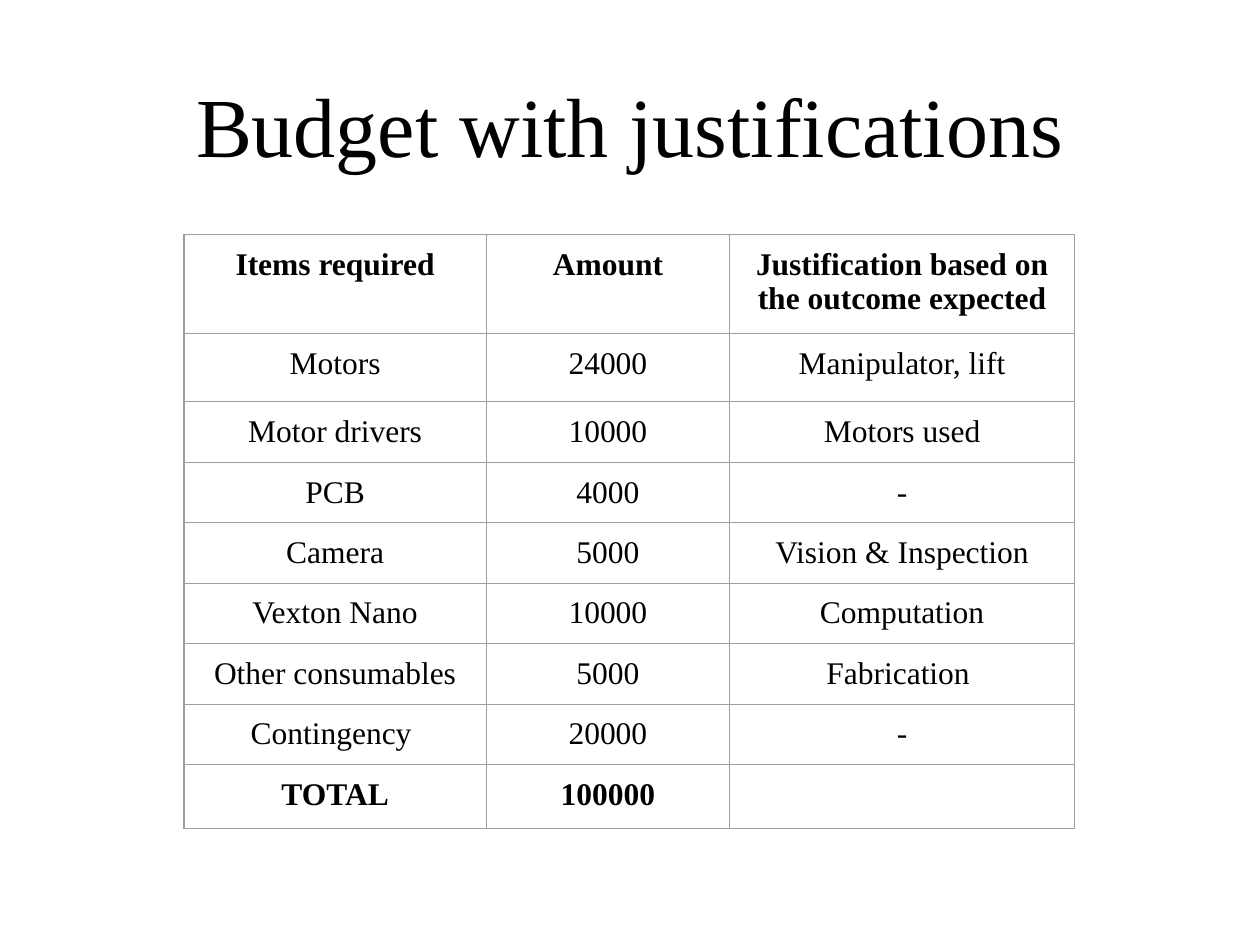
"""Build the budget slide: a title and a three-column table of costs."""
from lxml import etree
from pptx import Presentation
from pptx import util as u
from pptx.dml import color
from pptx.enum import text
from pptx.oxml import ns

COLORS = {"text": "000000", "border": "9E9E9E", "page": "FFFFFF"}
FONT = "Times New Roman"
COLUMN_WIDTHS = [2.4, 1.93, 2.74]
HEADER_HEIGHT, FIRST_HEIGHT, ROW_HEIGHT = 0.79, 0.54, 0.48
ROWS = [
    ["Items required", "Amount", "Justification based on the outcome expected"],
    ["Motors", "24000", "Manipulator, lift"],
    ["Motor drivers", "10000", "Motors used"],
    ["PCB", "4000", "-"],
    ["Camera", "5000", "Vision & Inspection"],
    ["Vexton Nano", "10000", "Computation"],
    ["Other consumables", "5000", "Fabrication "],
    ["Contingency ", "20000", "-"],
    ["TOTAL", "100000", ""],
]


def write(frame, words, size=18, bold=False, line_spacing=1.0, after=0):
    para = frame.paragraphs[0]
    para.alignment = text.PP_ALIGN.CENTER
    para.line_spacing = line_spacing
    para.space_after = u.Pt(after)
    para.font.size = u.Pt(size)
    if words:
        span = para.add_run()
        span.text = words
        span.font.name = FONT
        span.font.size = u.Pt(size)
        span.font.bold = bold
        span.font.color.rgb = color.RGBColor.from_string(COLORS["text"])


def add_borders(cell, width=0.75):
    properties = cell._tc.get_or_add_tcPr()
    for position, side in enumerate(["lnL", "lnR", "lnT", "lnB"]):
        line = etree.Element(ns.qn(f"a:{side}"), w=str(u.Pt(width)))
        fill = etree.SubElement(line, ns.qn("a:solidFill"))
        etree.SubElement(fill, ns.qn("a:srgbClr"), val=COLORS["border"])
        properties.insert(position, line)


deck = Presentation()
deck.slide_width, deck.slide_height = u.Inches(10), u.Inches(7.5)
page = deck.slides.add_slide(deck.slide_layouts[5])
page.background.fill.solid()
page.background.fill.fore_color.rgb = color.RGBColor.from_string(COLORS["page"])

title = page.shapes.title
title.left, title.top = u.Inches(0.5), u.Inches(0.3)
title.width, title.height = u.Inches(9), u.Inches(1.25)
title.text_frame.vertical_anchor = text.MSO_ANCHOR.MIDDLE
write(title.text_frame, "Budget with justifications", size=48, line_spacing=1.15, after=10)

row_heights = [HEADER_HEIGHT, FIRST_HEIGHT] + [ROW_HEIGHT] * (len(ROWS) - 2)
box = page.shapes.add_table(
    len(ROWS), len(COLUMN_WIDTHS), u.Inches(1.46), u.Inches(1.86),
    u.Inches(sum(COLUMN_WIDTHS)), u.Inches(sum(row_heights)),
)
table = box.table
table.first_row = table.horz_banding = False
for column, width in zip(table.columns, COLUMN_WIDTHS):
    column.width = u.Inches(width)

for row, height, entries in zip(table.rows, row_heights, ROWS):
    row.height = u.Inches(height)
    bold = entries in (ROWS[0], ROWS[-1])
    for cell, words in zip(row.cells, entries):
        cell.margin_left = cell.margin_right = u.Inches(0.1)
        cell.margin_top = cell.margin_bottom = u.Inches(0.1)
        cell.fill.background()
        add_borders(cell)
        write(cell.text_frame, words, bold=bold)

deck.save("out.pptx")
